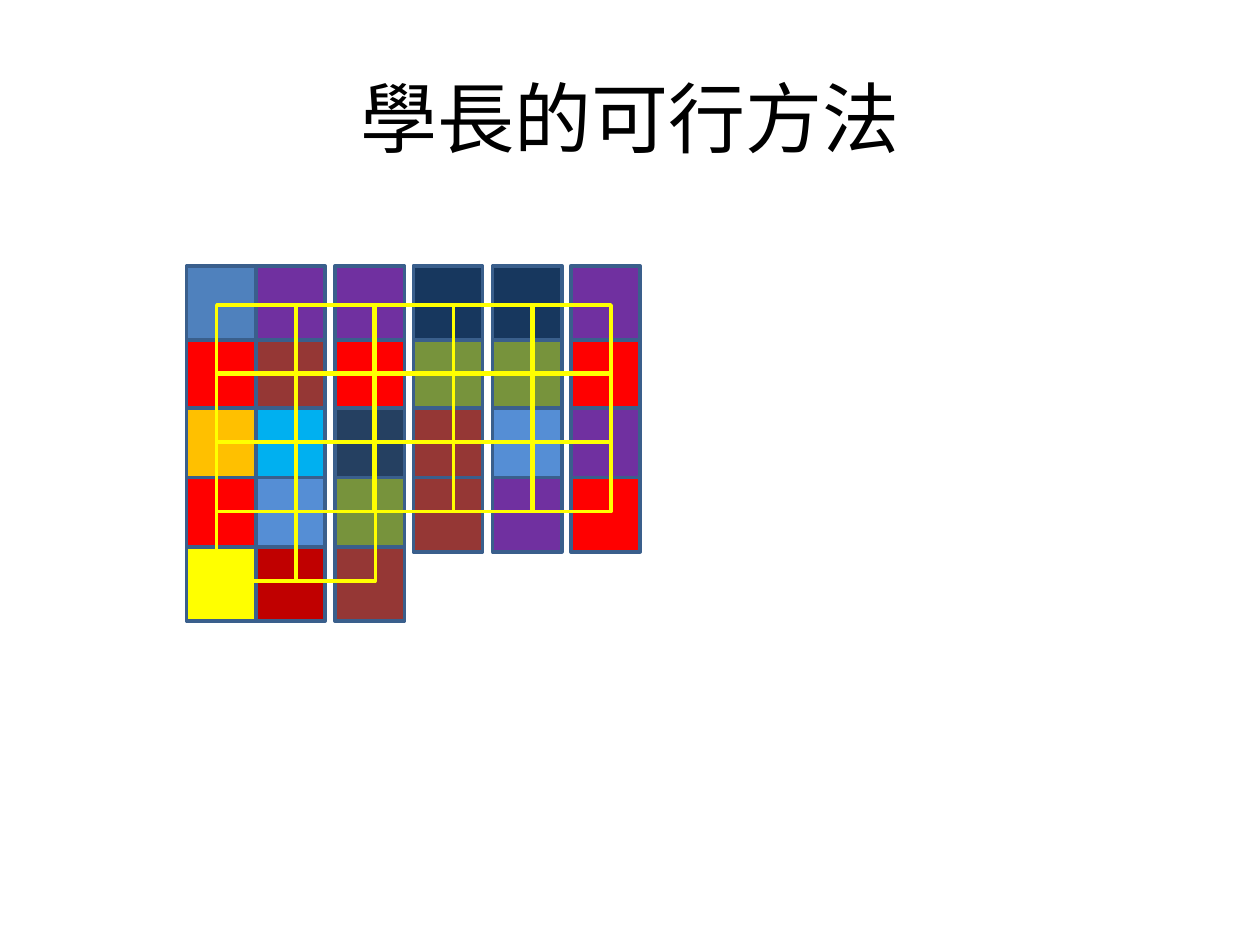
from pptx import Presentation
from pptx.dml.color import RGBColor
from pptx.enum.shapes import MSO_SHAPE
from pptx.enum.text import MSO_ANCHOR, PP_ALIGN
from pptx.util import Inches, Pt

RECT = MSO_SHAPE.RECTANGLE
MIDDLE = MSO_ANCHOR.MIDDLE
CENTER = PP_ALIGN.CENTER

TITLE = "學長的可行方法"
GRID = [
    ["blue", "purple", "purple", "navy", "navy", "purple"],
    ["red", "brown", "red", "green", "green", "red"],
    ["orange", "cyan", "slate", "brown", "sky", "purple"],
    ["red", "sky", "green", "brown", "purple", "red"],
    ["yellow", "crimson", "brown"],
]
COLORS = {
    "black": "000000", "blue": "4F81BD", "purple": "7030A0",
    "navy": "17375E", "red": "FF0000", "brown": "953735",
    "green": "77933C", "orange": "FFC000", "cyan": "00B0F0",
    "slate": "254061", "sky": "558ED5", "yellow": "FFFF00",
    "crimson": "C00000", "edge": "3A5F8C",
}
LEFTS = [1.48, 2.03, 2.66, 3.28, 3.91, 4.53]
TOPS = [2.11, 2.7, 3.24, 3.79, 4.34]
CELL = (0.55, 0.59)
FRAME = (0.63, 0.55)
SHIFT = (0.31, 0.28)
TITLE_BOX = {"left": 0.5, "top": 0.3, "width": 9, "height": 1.25}
TITLE_FONT = {"name": "Calibri", "size": Pt(44)}


def color(name):
    return RGBColor.from_string(COLORS[name])


def add_rect(slide, left, top, size, edge, fill=None):
    box = slide.shapes.add_shape(
        RECT, *(Inches(v) for v in (left, top, *size)))
    box.shadow.inherit = False
    if fill:
        box.fill.solid()
        box.fill.fore_color.rgb = color(fill)
    else:
        box.fill.background()
    box.line.color.rgb = color(edge)
    box.line.width = Pt(2)


def add_title(slide):
    title = slide.shapes.title
    for key, value in TITLE_BOX.items():
        setattr(title, key, Inches(value))
    frame = title.text_frame
    frame.text = TITLE
    frame.vertical_anchor = MIDDLE
    para = frame.paragraphs[0]
    para.alignment = CENTER
    font = para.runs[0].font
    for key, value in TITLE_FONT.items():
        setattr(font, key, value)
    font.color.rgb = color("black")


def add_grid(slide):
    for row, (top, fills) in enumerate(zip(TOPS, GRID)):
        for col, (left, fill) in enumerate(zip(LEFTS, fills)):
            add_rect(slide, left, top, CELL, "edge", fill)
            if row and col:
                add_rect(slide, left - SHIFT[0], top - SHIFT[1],
                         FRAME, "yellow")


def main():
    deck = Presentation()
    deck.slide_width = Inches(10)
    deck.slide_height = Inches(7.5)
    slide = deck.slides.add_slide(deck.slide_layouts[5])
    add_title(slide)
    add_grid(slide)
    deck.save("out.pptx")


if __name__ == "__main__":
    main()
